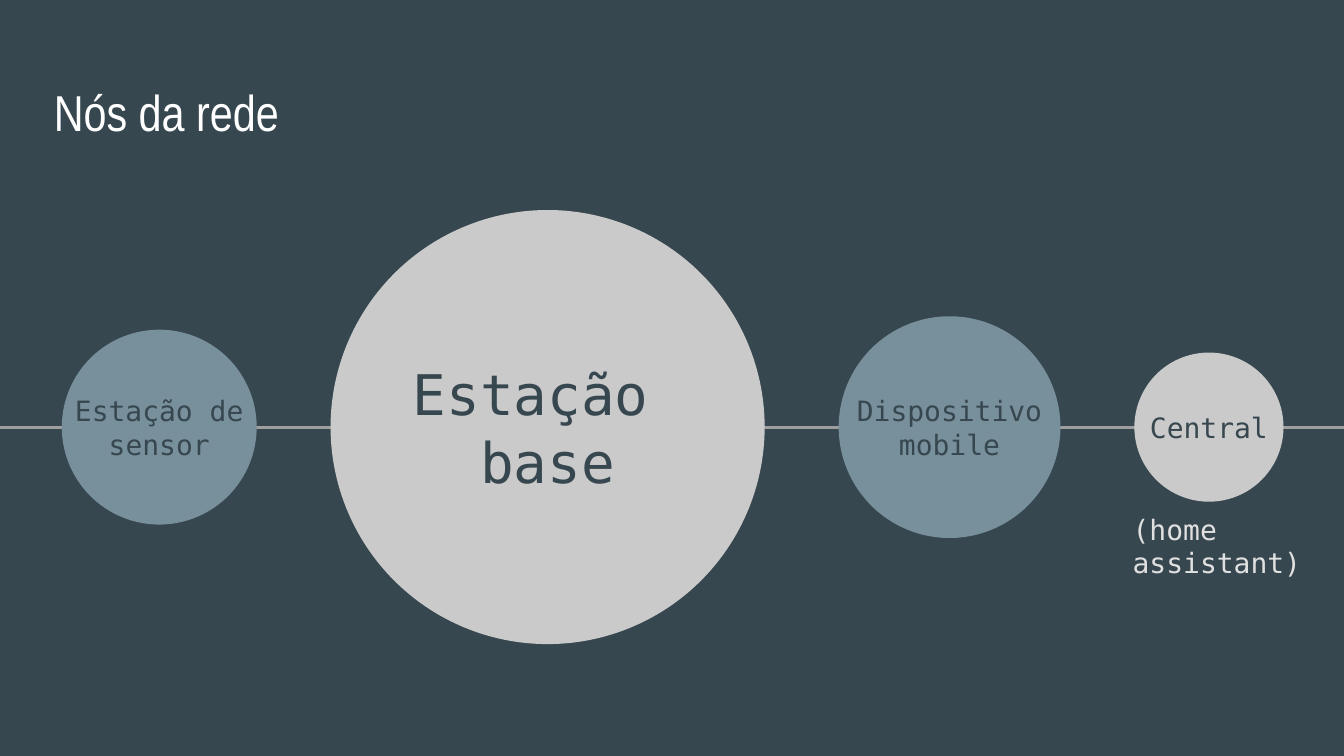
from dataclasses import dataclass
from typing import NamedTuple

from lxml.etree import SubElement
from pptx import Presentation
from pptx.dml.color import RGBColor
from pptx.enum.shapes import MSO_CONNECTOR, MSO_SHAPE
from pptx.enum.text import MSO_ANCHOR, MSO_AUTO_SIZE, PP_ALIGN
from pptx.oxml.ns import qn
from pptx.util import Inches, Pt


@dataclass(frozen=True)
class Theme:
    background: str = "37474F"
    title: str = "FFFFFF"
    axis: str = "9E9E9E"
    blue: str = "78909C"
    grey: str = "CACACA"
    label: str = "37474F"
    caption: str = "E0E0E0"
    title_font: str = "Arial Narrow"
    label_font: str = "DejaVu Sans Mono"
    title_size: int = 27
    large: int = 30
    small: int = 15
    axis_width: float = 1.5


class Box(NamedTuple):
    left: int
    top: int
    width: int
    height: int

    def share(self, x, y, width, height):
        return Box(
            int(self.left + x * self.width),
            int(self.top + y * self.height),
            int(width * self.width),
            int(height * self.height),
        )


class Node(NamedTuple):
    lines: tuple
    diameter: float
    fill: str
    size: int
    label_height: float


THEME = Theme()
NODES = [
    Node(("Estação de sensor",), 14.5, THEME.blue, THEME.small, 0.66),
    Node(("Estação ", "base"), 32.3, THEME.grey, THEME.large, 1.29),
    Node(("Dispositivo mobile",), 16.5, THEME.blue, THEME.small, 0.66),
    Node(("Central",), 11.1, THEME.grey, THEME.small, 0.66),
]
COLUMNS = 100
FIRST_NODE = 4.6
NODE_GAP = 5.5


def rgb(colour):
    return RGBColor.from_string(colour)


def write(frame, lines, font, size, colour, align, side=0.1):
    frame.word_wrap = True
    frame.auto_size = MSO_AUTO_SIZE.NONE
    frame.margin_top = frame.margin_bottom = Inches(0.1)
    frame.margin_left = Inches(side)
    frame.margin_right = Inches(0.05)
    for index, line in enumerate(lines):
        paragraph = frame.add_paragraph() if index else frame.paragraphs[0]
        paragraph.alignment = align
        run = paragraph.add_run()
        run.text = line
        run.font.name = font
        run.font.size = Pt(size)
        run.font.color.rgb = rgb(colour)


def add_label(slide, box, lines, size, colour, align, side):
    frame = slide.shapes.add_textbox(*box).text_frame
    frame.vertical_anchor = MSO_ANCHOR.MIDDLE
    write(frame, lines, THEME.label_font, size, colour, align, side)


def add_title(slide, box):
    title = slide.shapes.title
    title.left, title.top, title.width, title.height = box
    title.text_frame.vertical_anchor = MSO_ANCHOR.TOP
    write(title.text_frame, ["Nós da rede"], THEME.title_font,
          THEME.title_size, THEME.title, PP_ALIGN.LEFT)


def add_axis(slide, box, middle):
    axis = slide.shapes.add_connector(
        MSO_CONNECTOR.STRAIGHT, box.left, middle, box.left + box.width, middle)
    axis.line.color.rgb = rgb(THEME.axis)
    axis.line.width = Pt(THEME.axis_width)
    SubElement(axis._element.spPr, qn("a:effectLst"))


def add_node(slide, box, node):
    circle = slide.shapes.add_shape(MSO_SHAPE.OVAL, *box)
    circle.shadow.inherit = False
    circle.fill.solid()
    circle.fill.fore_color.rgb = rgb(node.fill)
    circle.line.fill.background()
    height = Inches(node.label_height) / box.height
    add_label(slide, box.share(0, (1 - height) / 2, 1, height), node.lines,
              node.size, THEME.label, PP_ALIGN.CENTER, 0.05)


def add_network(slide, box):
    middle = box.top + box.height // 2
    column = box.width / COLUMNS
    add_axis(slide, box, middle)
    left = box.left + int(FIRST_NODE * column)
    for node in NODES:
        diameter = int(node.diameter * column)
        circle = Box(left, middle - diameter // 2, diameter, diameter)
        add_node(slide, circle, node)
        left += diameter + int(NODE_GAP * column)
    add_label(slide, circle.share(-0.1, 1, 1.31, 0.59), ["(home assistant)"],
              THEME.small, THEME.caption, PP_ALIGN.LEFT, 0.1)


def main():
    deck = Presentation()
    deck.slide_width = Inches(10)
    deck.slide_height = deck.slide_width * 9 // 16
    slide = deck.slides.add_slide(deck.slide_layouts[5])
    slide.background.fill.solid()
    slide.background.fill.fore_color.rgb = rgb(THEME.background)
    page = Box(0, 0, deck.slide_width, deck.slide_height)
    add_network(slide, page.share(0, 0.28, 1, 0.57))
    add_title(slide, page.share(0.03, 0.09, 0.93, 0.11))
    deck.save("out.pptx")


if __name__ == "__main__":
    main()
